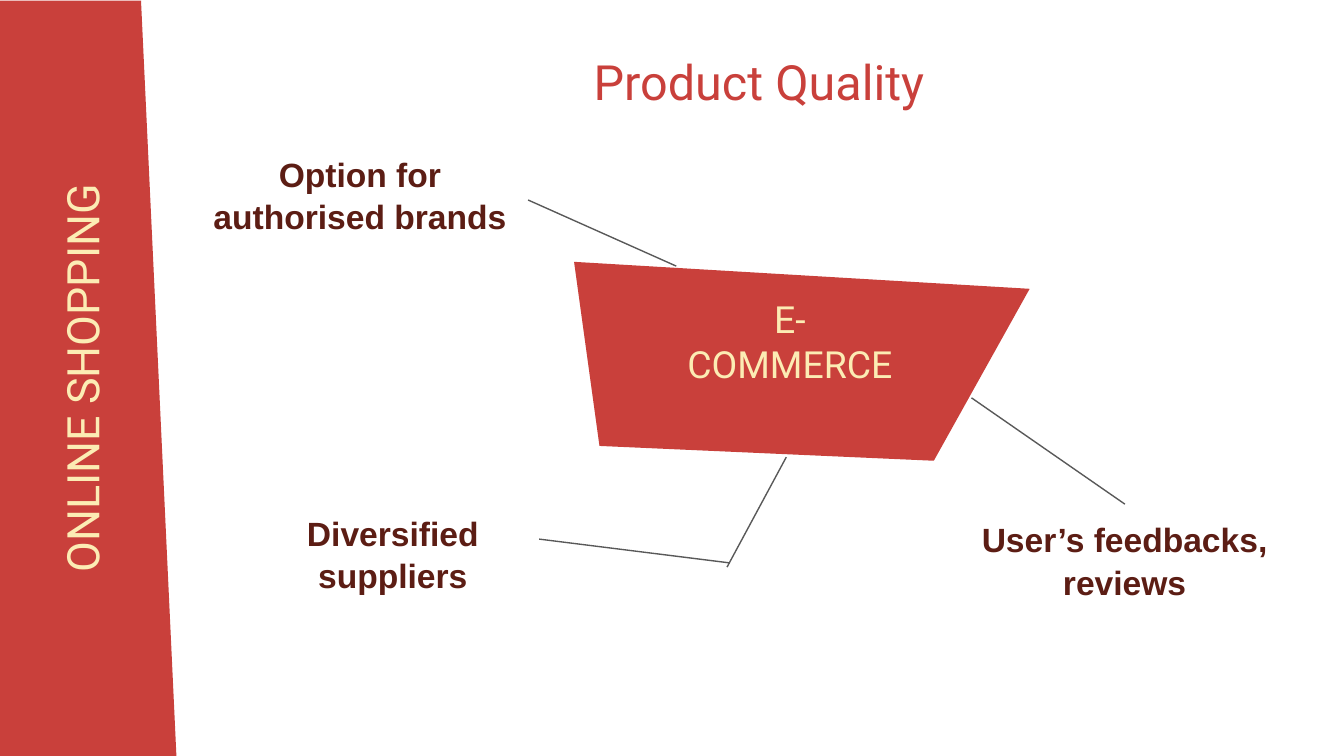
from pptx import Presentation
from pptx.dml.color import RGBColor
from pptx.enum.shapes import MSO_CONNECTOR, MSO_SHAPE
from pptx.enum.text import MSO_ANCHOR, PP_ALIGN
from pptx.oxml.ns import qn
from pptx.util import Cm, Pt
from lxml.etree import SubElement

RED = RGBColor(0xC9, 0x40, 0x3B)
CREAM = RGBColor(0xFC, 0xEC, 0xB4)
BROWN = RGBColor(0x5C, 0x1D, 0x14)
GREY = RGBColor(0x59, 0x59, 0x59)

SIDE_PANEL = (-5.49, 5.49, 14.3, 3.35)
HUB = [(10.85, 4.95), (19.46, 5.46), (17.65, 8.71), (11.33, 8.43)]
LEADERS = [
    (12.78, 5.03, 9.98, 3.78),
    (14.86, 8.64, 13.74, 10.72),
    (13.79, 10.64, 10.19, 10.19),
    (18.36, 7.52, 21.26, 9.53),
]
BRANCHES = [
    ("Option for authorised brands", (3.63, 2.62, 6.35, 2.34)),
    ("Diversified suppliers", (4.67, 9.4, 5.51, 1.6)),
    ("User’s feedbacks, reviews", (17.98, 9.53, 6.55, 2.34)),
]
TITLES = [
    ("ONLINE SHOPPING", (-5.61, 6.3, 14.3, 1.7), 24, CREAM, MSO_ANCHOR.MIDDLE, 270),
    ("E-COMMERCE", (12.67, 5.94, 4.52, 1.6), 20, CREAM, MSO_ANCHOR.BOTTOM, 0),
    ("Product Quality", (9.27, 0.74, 10.16, 1.6), 26, RED, MSO_ANCHOR.MIDDLE, 0),
]


def paint(sp):
    sp.shadow.inherit = False
    sp.fill.solid()
    sp.fill.fore_color.rgb = RED
    sp.line.fill.background()


def add_text(s, text, box, size, color, anchor, rotation=0, font="Roboto", bold=False, spacing=1.0):
    sp = s.shapes.add_textbox(*map(Cm, box))
    sp.rotation = rotation
    tf = sp.text_frame
    tf.word_wrap = True
    tf.vertical_anchor = anchor
    tf.margin_left = tf.margin_right = tf.margin_top = tf.margin_bottom = Cm(0.25)
    tf.text = text
    p = tf.paragraphs[0]
    p.alignment = PP_ALIGN.CENTER
    p.line_spacing = spacing
    r = p.runs[0]
    r.font.name = font
    r.font.size = Pt(size)
    r.font.bold = bold
    r.font.color.rgb = color


def add_leader(s, ends):
    line = s.shapes.add_connector(MSO_CONNECTOR.STRAIGHT, *map(Cm, ends))
    line.line.color.rgb = GREY
    line.line.width = Pt(0.75)
    SubElement(line._element.spPr, qn("a:effectLst"))


def main():
    prs = Presentation()
    prs.slide_width, prs.slide_height = Cm(25.4), Cm(14.29)
    s = prs.slides.add_slide(prs.slide_layouts[6])

    panel = s.shapes.add_shape(MSO_SHAPE.FLOWCHART_MANUAL_INPUT, *map(Cm, SIDE_PANEL))
    panel.rotation = 90
    paint(panel)

    corners = [(Cm(x), Cm(y)) for x, y in HUB]
    outline = s.shapes.build_freeform(*corners[0])
    outline.add_line_segments(corners[1:], close=True)
    paint(outline.convert_to_shape())

    for ends in LEADERS:
        add_leader(s, ends)
    for text, box in BRANCHES:
        add_text(s, text, box, 18, BROWN, MSO_ANCHOR.TOP, font="Arial", bold=True, spacing=1.05)
    for title in TITLES:
        add_text(s, *title)

    prs.save("out.pptx")


if __name__ == "__main__":
    main()
